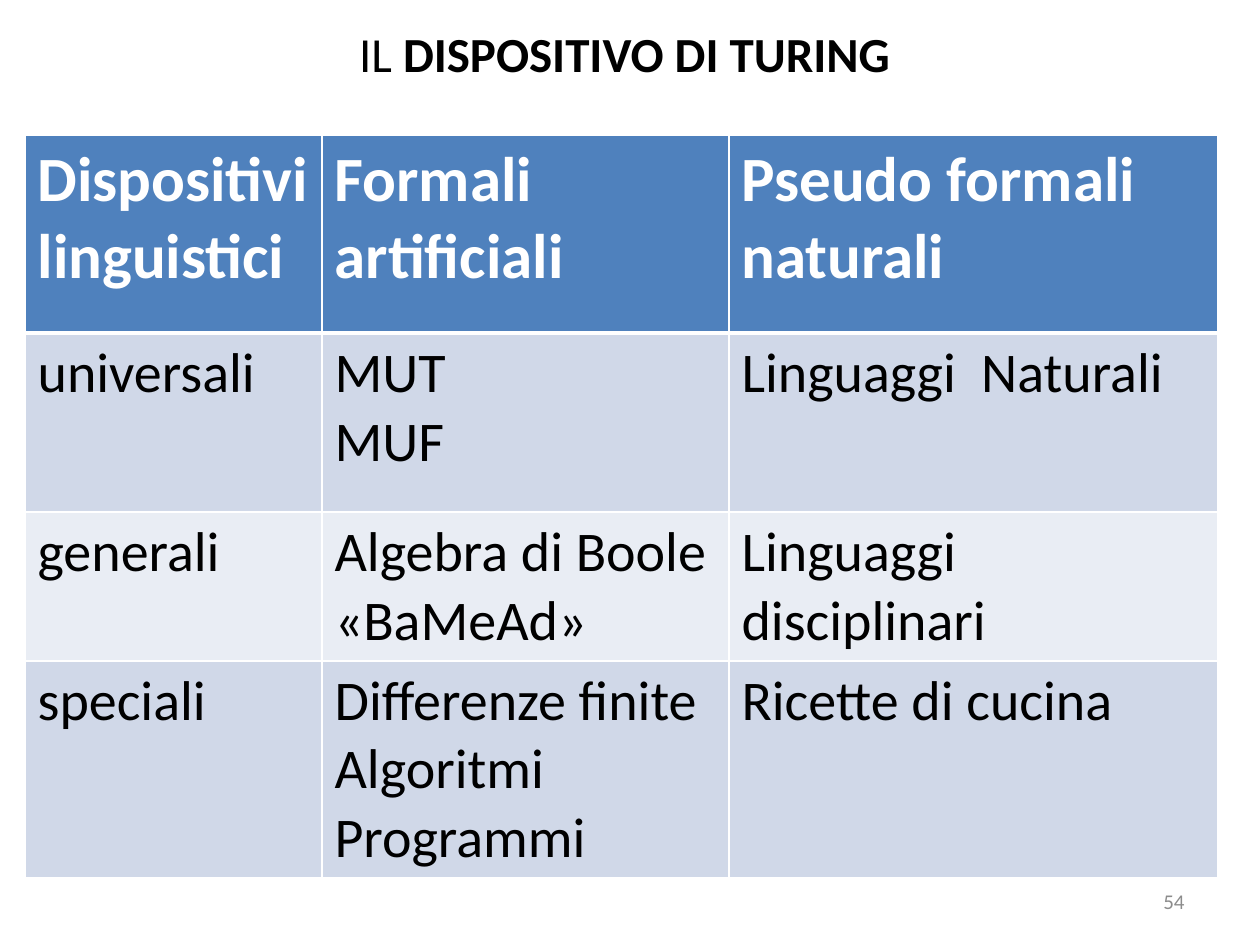
"""Build the slide with the table of linguistic devices."""
from lxml.etree import SubElement
from pptx import Presentation
from pptx.dml.color import RGBColor
from pptx.enum.text import MSO_ANCHOR, PP_ALIGN
from pptx.oxml import parse_xml
from pptx.oxml.ns import nsdecls
from pptx.util import Pt

PIXEL = 914400 // 126
COLORS = {"header": "4F81BD", "odd": "D0D8E8", "even": "E9EDF4",
          "white": "FFFFFF", "black": "000000", "number": "8C8C8C"}
TITLE = [[("IL ", False), ("DISPOSITIVO DI TURING ", True)]]
TITLE_BOX = (63, 0, 1134, 106)
PAGE_NUMBER = "54"
NUMBER_BOX = (903, 876, 294, 50)
TABLE_CORNER = (25, 135)
COLUMNS = (297, 407, 489)
ROWS = (198, 179, 149, 217)
DEVICES = [
    (["Dispositivi", "linguistici"], ["Formali ", "artificiali"], ["Pseudo formali ", "naturali"]),
    (["universali"], ["MUT ", "MUF"], ["Linguaggi  Naturali"]),
    (["generali"], ["Algebra di Boole ", "«BaMeAd»"], ["Linguaggi disciplinari"]),
    (["speciali"], ["Differenze finite ", "Algoritmi ", "Programmi "], ["Ricette di cucina"]),
]


def px(*lengths):
    return [length * PIXEL for length in lengths]


def write(frame, paragraphs, size, color="black", align=PP_ALIGN.LEFT):
    frame.word_wrap = True
    for index, runs in enumerate(paragraphs):
        paragraph = frame.add_paragraph() if index else frame.paragraphs[0]
        paragraph.alignment = align
        for text, bold in runs:
            run = paragraph.add_run()
            run.text = text
            run.font.name = "Calibri"
            run.font.size = Pt(size)
            run.font.bold = bold
            run.font.color.rgb = RGBColor.from_string(COLORS[color])


def add_borders(cell, widths):
    properties = cell._tc.get_or_add_tcPr()
    for index, (side, width) in enumerate(widths.items()):
        line = parse_xml(f'<a:ln{side} {nsdecls("a")} w="{Pt(width)}"><a:solidFill>'
                         f'<a:srgbClr val="{COLORS["white"]}"/></a:solidFill></a:ln{side}>')
        properties.insert(index, line)


def add_label(slide, box, paragraphs, **text_format):
    frame = slide.shapes.add_textbox(*px(*box)).text_frame
    frame.vertical_anchor = MSO_ANCHOR.MIDDLE
    write(frame, paragraphs, **text_format)


presentation = Presentation()
presentation.slide_width, presentation.slide_height = px(1260, 945)
slide = presentation.slides.add_slide(presentation.slide_layouts[6])

add_label(slide, TITLE_BOX, TITLE, size=28, align=PP_ALIGN.CENTER)

devices = slide.shapes.add_table(
    len(ROWS), len(COLUMNS), *px(*TABLE_CORNER, sum(COLUMNS), sum(ROWS))).table
for column, width in zip(devices.columns, px(*COLUMNS)):
    column.width = width
for row, height in zip(devices.rows, px(*ROWS)):
    row.height = height

for r, entries in enumerate(DEVICES):
    header = r == 0
    band = "header" if header else ("odd" if r % 2 else "even")
    for c, lines in enumerate(entries):
        cell = devices.cell(r, c)
        cell.fill.solid()
        cell.fill.fore_color.rgb = RGBColor.from_string(COLORS[band])
        add_borders(cell, {"L": 1, "R": 1, "T": 3 if r == 1 else 1, "B": 3 if header else 1})
        write(cell.text_frame, [[(line, header)] for line in lines],
              size=36 if header else 32, color="white" if header else "black")

add_label(slide, NUMBER_BOX, [[(PAGE_NUMBER, False)]], size=12, color="number",
          align=PP_ALIGN.RIGHT)

presentation.save("out.pptx")
